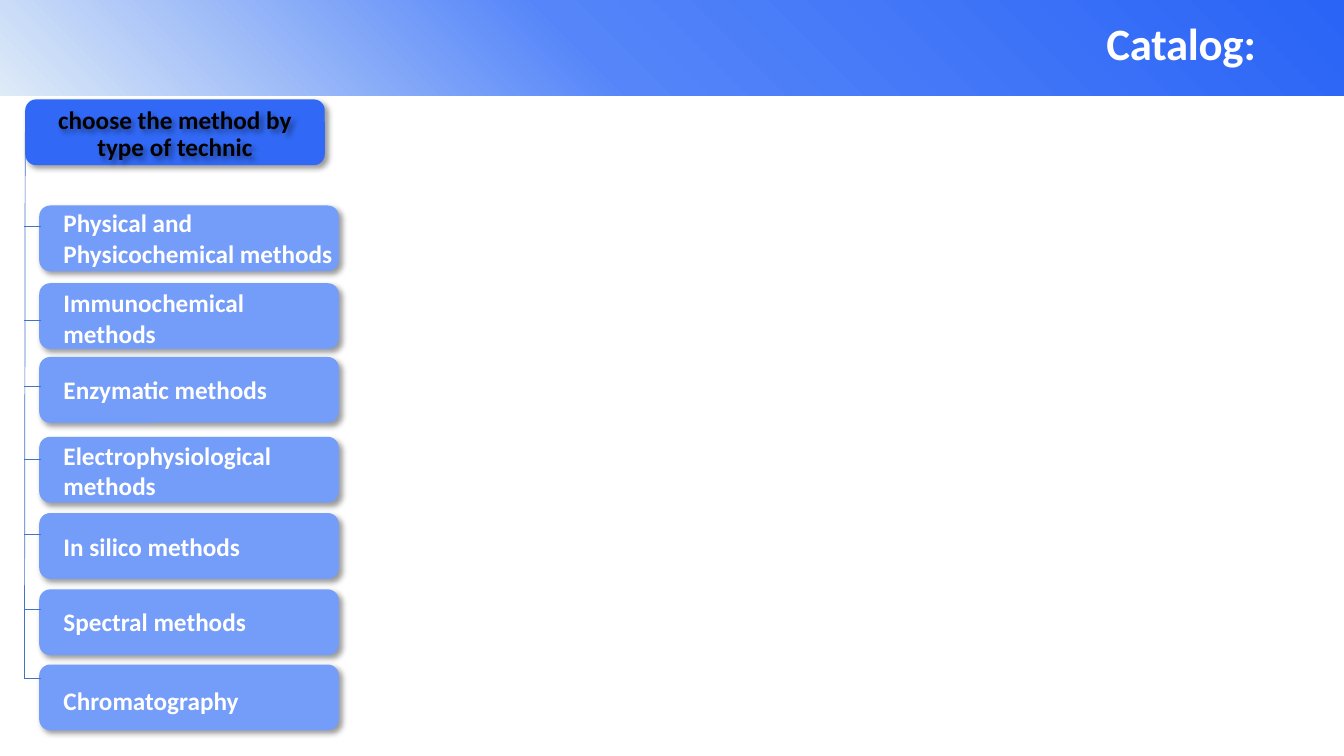
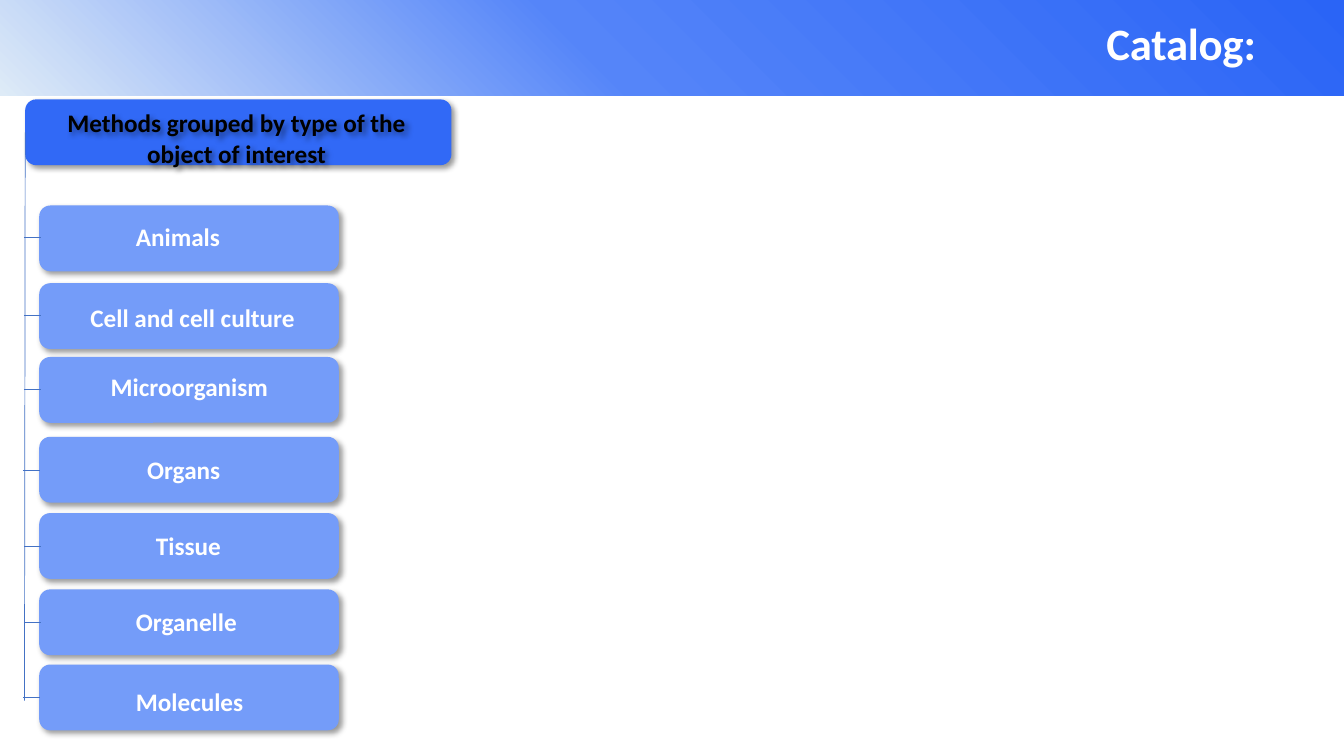
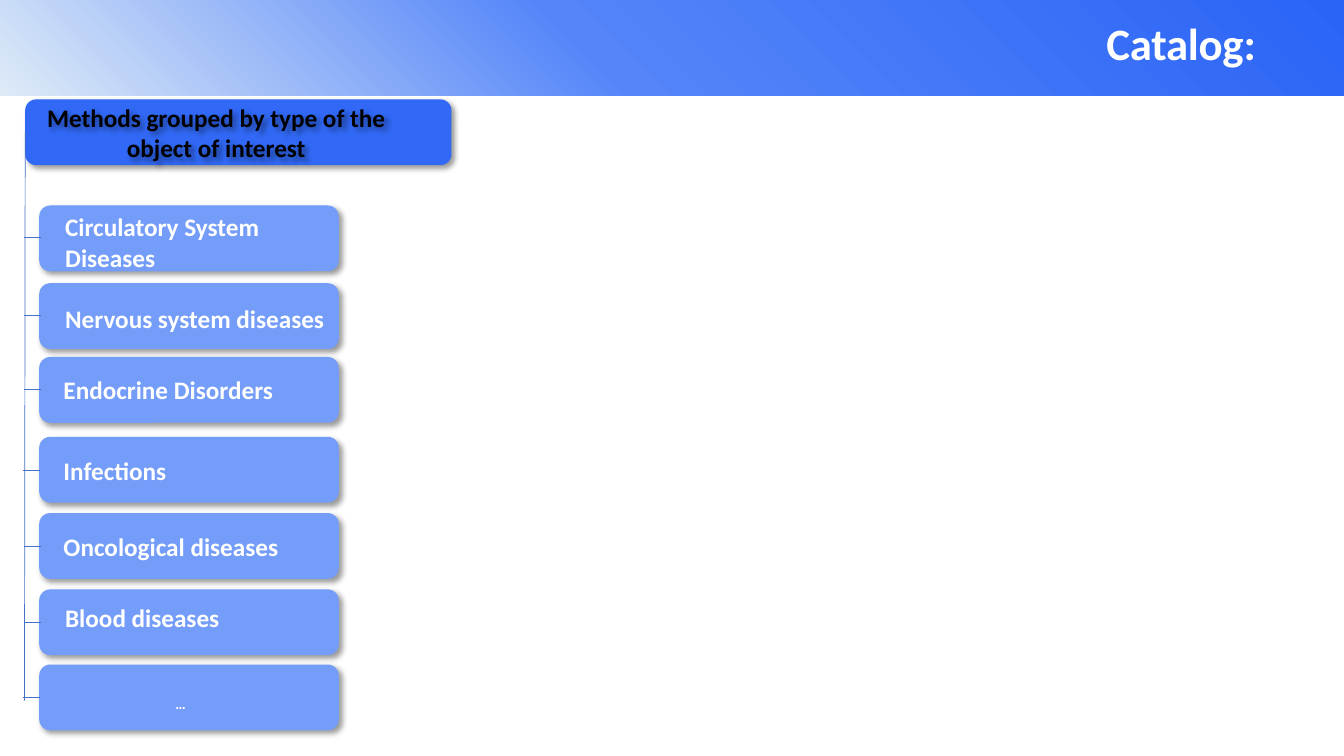
from lxml import etree
from pptx import Presentation
from pptx import util as u
from pptx.dml.color import RGBColor
from pptx.enum import shapes, text
from pptx.oxml import parse_xml
from pptx.oxml.ns import nsdecls, qn

Pt = u.Pt
FONT = "Calibri"
COLORS = {
    "band_end": "2A64F6", "band_mid": "5585F9", "band_start": "DEEBF7",
    "heading_box": "3169F6", "item_box": "749CF9", "line": "4472C4",
    "heading_text": "000000", "light_text": "FFFFFF", "shadow": "000000",
}
BAND_FILL = f"""<a:gradFill {nsdecls('a')} rotWithShape="1"><a:gsLst>
<a:gs pos="0"><a:srgbClr val="{COLORS['band_end']}"/></a:gs>
<a:gs pos="56000"><a:srgbClr val="{COLORS['band_mid']}"/></a:gs>
<a:gs pos="100000"><a:srgbClr val="{COLORS['band_start']}"/></a:gs></a:gsLst>
<a:path path="circle"><a:fillToRect l="100000" b="100000"/></a:path></a:gradFill>"""
SOFT_SHADOW = f"""<a:effectLst {nsdecls('a')}>
<a:outerShdw blurRad="50800" dist="38100" dir="2700000" algn="tl" rotWithShape="0">
<a:srgbClr val="{COLORS['shadow']}"><a:alpha val="40000"/></a:srgbClr>
</a:outerShdw></a:effectLst>"""

# Item boxes and the tree that links them
ITEM_LEFT, ITEM_WIDTH, BOX_HEIGHT = 28, 214, 47
ITEM_TOPS = [146.8, 202.3, 255, 312, 366.5, 421, 474.7]
LABEL_WIDTH = 208
TICK_WIDTH = 12
TECHNIC_TICKS = [(17, y) for y in (161.5, 229, 276, 328.3, 381.5, 435.5, 484.5)]
OBJECT_TICKS = [(17, 169.3), (17, 225.5), (17, 278), (16.3, 336),
                (17.5, 390), (17, 444.3), (16.5, 498.3)]

# Labels: text, left, top, then lines, width and size where they differ
CATALOGS = [
    {
        "heading": ("choose the method by type of technic", 28, 73.5, 2, 194),
        "heading_width": 214, "line_spacing": 0.9,
        "ticks": TECHNIC_TICKS, "trunk_end": 484.5,
        "labels": [
            ("Physical and Physicochemical methods", 38.3, 144.8, 2),
            ("Immunochemical methods", 38.3, 202, 2),
            ("Enzymatic methods", 38.3, 264),
            ("Electrophysiological methods", 38.3, 311, 2),
            ("In silico methods", 38.3, 376),
            ("Spectral methods", 38.3, 429.7),
            ("Chromatography", 38.3, 486),
        ],
    },
    {
        "heading": ("Methods grouped by type of the object of interest",
                    28, 73.3, 2, 282),
        "heading_width": 304.5, "line_spacing": 1,
        "ticks": OBJECT_TICKS, "trunk_end": 500.5,
        "labels": [
            ("Animals", 90, 154.7),
            ("Cell and cell culture", 57.5, 212.5),
            ("Microorganism", 72, 262),
            ("Organs", 98, 321),
            ("Tissue", 104.3, 375.5),
            ("Organelle", 90, 429.7),
            ("Molecules", 90, 487),
        ],
    },
    {
        "heading": ("Methods grouped by type of the object of interest",
                    13.5, 69.7, 2, 282),
        "heading_width": 304.5, "line_spacing": 1,
        "ticks": OBJECT_TICKS, "trunk_end": 500.5,
        "labels": [
            ("Circulatory System Diseases", 39.5, 147.7, 2),
            ("Nervous system diseases", 39.5, 213),
            ("Endocrine Disorders", 38.3, 264),
            ("Infections", 38.3, 322),
            ("Oncological diseases", 38.3, 376),
            ("Blood diseases", 39.5, 427),
            ("…", 118.3, 492.5, 1, 25, 10.5),
        ],
    },
]


def add_box(slide, kind, left, top, width, height, color=None):
    box = slide.shapes.add_shape(kind, Pt(left), Pt(top), Pt(width), Pt(height))
    box.line.fill.background()
    box.shadow.inherit = False
    if color:
        box.fill.solid()
        box.fill.fore_color.rgb = RGBColor.from_string(COLORS[color])
        properties = box._element.spPr
        properties.replace(properties.find(qn("a:effectLst")), parse_xml(SOFT_SHADOW))
    return box


def add_label(slide, words, left, top, lines=1, width=LABEL_WIDTH, size=18,
              color="light_text"):
    height = 7.2 + lines * size * 1.22
    label = slide.shapes.add_textbox(Pt(left), Pt(top), Pt(width), Pt(height))
    label.text_frame.word_wrap = True
    label.text_frame.auto_size = text.MSO_AUTO_SIZE.SHAPE_TO_FIT_TEXT
    run = label.text_frame.paragraphs[0].add_run()
    run.text = words
    run.font.name, run.font.size, run.font.bold = FONT, Pt(size), True
    run.font.color.rgb = RGBColor.from_string(COLORS[color])
    return label


deck = Presentation()
deck.slide_width, deck.slide_height = Pt(960), Pt(540)

for catalog in CATALOGS:
    slide = deck.slides.add_slide(deck.slide_layouts[6])

    # Title band
    band = add_box(slide, shapes.MSO_SHAPE.RECTANGLE, 0, 0, 960, 68.5)
    band._element.spPr.find(qn("a:prstGeom")).addnext(parse_xml(BAND_FILL))
    title = add_label(slide, "Catalog:", 789.3, 10, width=170.7, size=32)
    title.height = Pt(40)
    frame = title.text_frame
    frame.margin_left, frame.margin_top = Pt(1), Pt(1)
    frame.margin_right = frame.margin_bottom = 0
    frame.vertical_anchor = text.MSO_ANCHOR.MIDDLE
    frame.paragraphs[0].space_before = Pt(1)
    frame.paragraphs[0].runs[0].font._element.set("spc", "-20")

    # Heading
    add_box(slide, shapes.MSO_SHAPE.ROUNDED_RECTANGLE, 18, 71,
            catalog["heading_width"], BOX_HEIGHT, "heading_box")
    heading = add_label(slide, *catalog["heading"], color="heading_text")
    heading.text_frame.paragraphs[0].alignment = text.PP_ALIGN.CENTER
    heading.text_frame.paragraphs[0].line_spacing = catalog["line_spacing"]
    heading._element.spPr.append(parse_xml(SOFT_SHADOW))

    # Items
    for top, label in zip(ITEM_TOPS, catalog["labels"]):
        add_box(slide, shapes.MSO_SHAPE.ROUNDED_RECTANGLE,
                ITEM_LEFT, top, ITEM_WIDTH, BOX_HEIGHT, "item_box")
        add_label(slide, *label)

    # Trunk and ticks
    trunk = (18, 94.5, 17.5, catalog["trunk_end"])
    ticks = [(left, y, left + TICK_WIDTH, y) for left, y in catalog["ticks"]]
    for ends in [trunk, *ticks]:
        branch = slide.shapes.add_connector(
            shapes.MSO_CONNECTOR.STRAIGHT, *(Pt(end) for end in ends))
        branch.line.width = Pt(0.5)
        branch.line.color.rgb = RGBColor.from_string(COLORS["line"])
        etree.SubElement(branch._element.spPr, qn("a:effectLst"))

deck.save("out.pptx")
